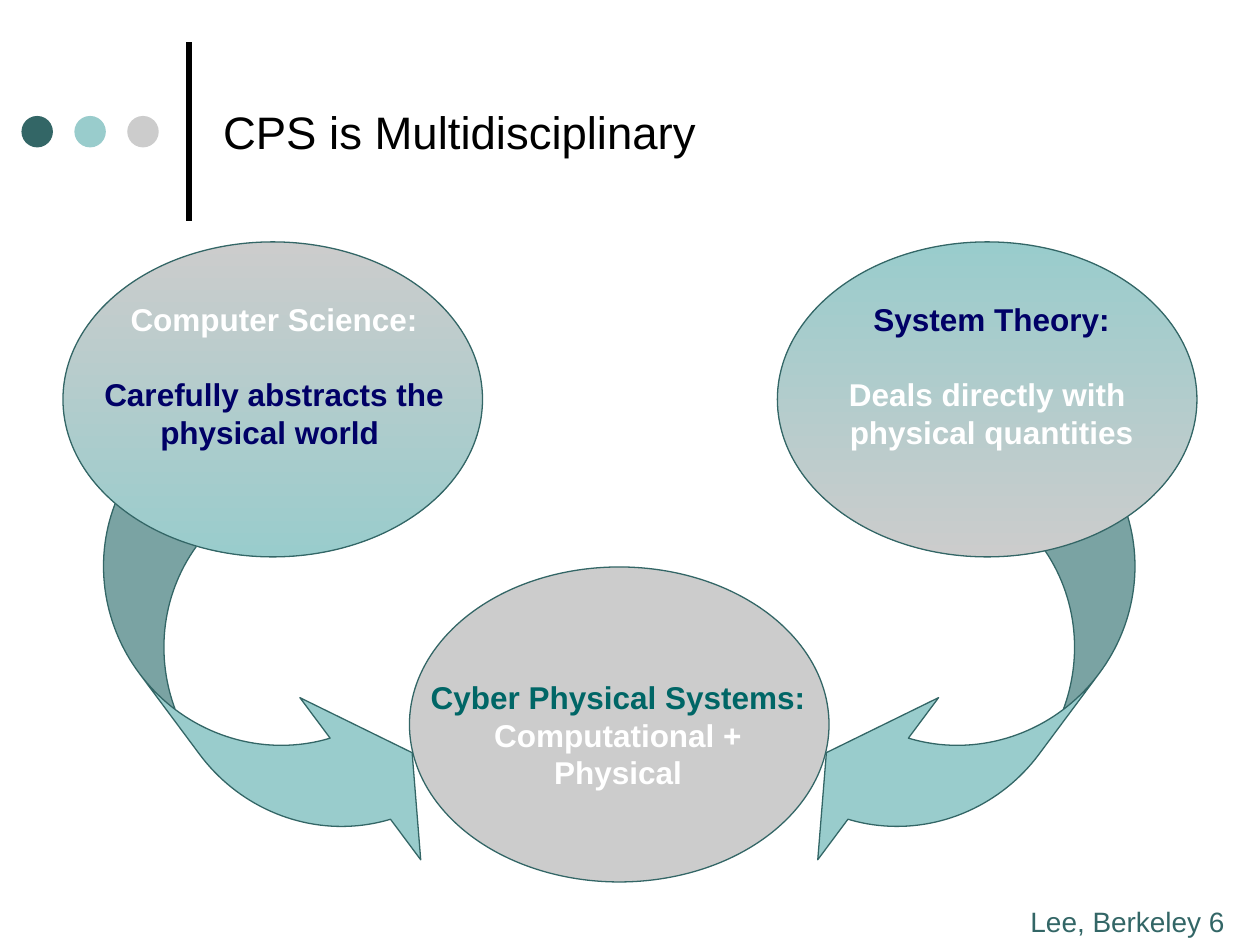
from lxml.etree import SubElement
from pptx import Presentation
from pptx.dml.color import RGBColor
from pptx.enum.shapes import MSO_CONNECTOR, MSO_SHAPE
from pptx.enum.text import MSO_ANCHOR, PP_ALIGN
from pptx.oxml.ns import qn
from pptx.util import Inches, Pt

FONT = "Arial"
BLACK, WHITE = "000000", "FFFFFF"
DARK_TEAL, LIGHT_TEAL, GRAY = "336666", "99CCCC", "CCCCCC"
NAVY, GREEN = "000066", "006666"
LINE_HEIGHT = 21.6


def color(hex_string):
    return RGBColor.from_string(hex_string)


class SlideBuilder:
    def __init__(self, page):
        self.page = page

    def style(self, para, size, hex_color, bold=False):
        for span in para.runs:
            span.font.name = FONT
            span.font.size = Pt(size)
            span.font.bold = bold
            span.font.color.rgb = color(hex_color)

    def title(self, text, left, top, width, height):
        box = self.page.shapes.title
        box.left, box.top = Inches(left), Inches(top)
        box.width, box.height = Inches(width), Inches(height)
        box.text_frame.text = text
        box.text_frame.vertical_anchor = MSO_ANCHOR.MIDDLE
        para = box.text_frame.paragraphs[0]
        para.alignment = PP_ALIGN.LEFT
        self.style(para, 26, BLACK)

    def shape(self, kind, left, top, width, height, fills, outline=True):
        """Two fill colours make a gradient from top to bottom."""
        shape = self.page.shapes.add_shape(
            kind, Inches(left), Inches(top), Inches(width), Inches(height))
        shape.shadow.inherit = False
        if len(fills) == 1:
            shape.fill.solid()
            shape.fill.fore_color.rgb = color(fills[0])
        else:
            shape.fill.gradient()
            shape.fill.gradient_angle = 270
            for stop, hex_color in zip(shape.fill.gradient_stops, fills):
                stop.color.rgb = color(hex_color)
        if outline:
            shape.line.color.rgb = color(DARK_TEAL)
            shape.line.width = Pt(0.75)
        else:
            shape.line.fill.background()
        return shape

    def curved_arrow(self, left, rotation, flipped=False):
        arrow = self.shape(MSO_SHAPE.CURVED_RIGHT_ARROW,
                           left, 3.42, 1.36, 4, [LIGHT_TEAL])
        for index, value in enumerate((0.59, 1.18, 0.333)):
            arrow.adjustments[index] = value
        arrow.rotation = rotation
        if flipped:
            arrow._element.spPr.find(qn("a:xfrm")).set("flipH", "1")

    def rule(self, x, top, bottom):
        line = self.page.shapes.add_connector(
            MSO_CONNECTOR.STRAIGHT,
            Inches(x), Inches(bottom), Inches(x), Inches(top))
        line.line.color.rgb = color(BLACK)
        line.line.width = Pt(3)
        SubElement(line._element.spPr, qn("a:effectLst"))

    def text_box(self, left, top, width, height):
        box = self.page.shapes.add_textbox(
            Inches(left), Inches(top), Inches(width), Inches(height))
        box.text_frame.word_wrap = True
        return box.text_frame

    def label(self, left, top, width, height, lines, gap=0):
        """Centred bold lines, each a (text, colour) pair."""
        frame = self.text_box(left, top, width, height)
        for index, (text, hex_color) in enumerate(lines):
            para = frame.add_paragraph() if index else frame.paragraphs[0]
            para.text = text
            para.alignment = PP_ALIGN.CENTER
            para.line_spacing = Pt(LINE_HEIGHT)
            para.space_before = Pt(gap if index else 0)
            self.style(para, 18, hex_color, bold=True)

    def footer(self, text, left, top, width, height):
        frame = self.text_box(left, top, width, height)
        frame.word_wrap = False
        frame.text = text
        self.style(frame.paragraphs[0], 16, DARK_TEAL)


def main():
    deck = Presentation()
    deck.slide_width, deck.slide_height = Inches(10), Inches(7.5)
    slide = SlideBuilder(deck.slides.add_slide(deck.slide_layouts[5]))

    # Header: rule, dots and title
    slide.rule(1.5, 0.33, 1.75)
    for index, dot_color in enumerate((DARK_TEAL, LIGHT_TEAL, GRAY)):
        slide.shape(MSO_SHAPE.OVAL, 0.17 + 0.42 * index, 0.92, 0.25, 0.25,
                    [dot_color], outline=False)
    slide.title("CPS is Multidisciplinary", 1.67, 0.21, 8.08, 1.67)

    # Arrows leading to the combined field
    slide.curved_arrow(7.14, 36.7, flipped=True)
    slide.curved_arrow(1.33, 323.3)

    # The three fields
    for left, top, fills in (
            (3.25, 4.5, [GRAY]),
            (0.5, 1.92, [GRAY, LIGHT_TEAL]),
            (6.17, 1.92, [LIGHT_TEAL, GRAY])):
        slide.shape(MSO_SHAPE.OVAL, left, top, 3.33, 2.5, fills)

    slide.label(3.25, 5.33, 3.31, 1.3, [
        ("Cyber Physical Systems:", GREEN),
        ("Computational +", WHITE),
        ("Physical", WHITE)])
    slide.label(0.52, 2.33, 3.31, 1.3, [
        ("Computer Science:", WHITE),
        ("Carefully abstracts the physical world ", NAVY)], gap=LINE_HEIGHT)
    slide.label(6.08, 2.33, 3.58, 1.9, [
        ("System Theory:", NAVY),
        ("Deals directly with \vphysical quantities", WHITE)], gap=LINE_HEIGHT)

    # Footer
    slide.footer("Lee, Berkeley 6", 8.08, 7.13, 1.89, 0.37)

    deck.save("out.pptx")


if __name__ == "__main__":
    main()
